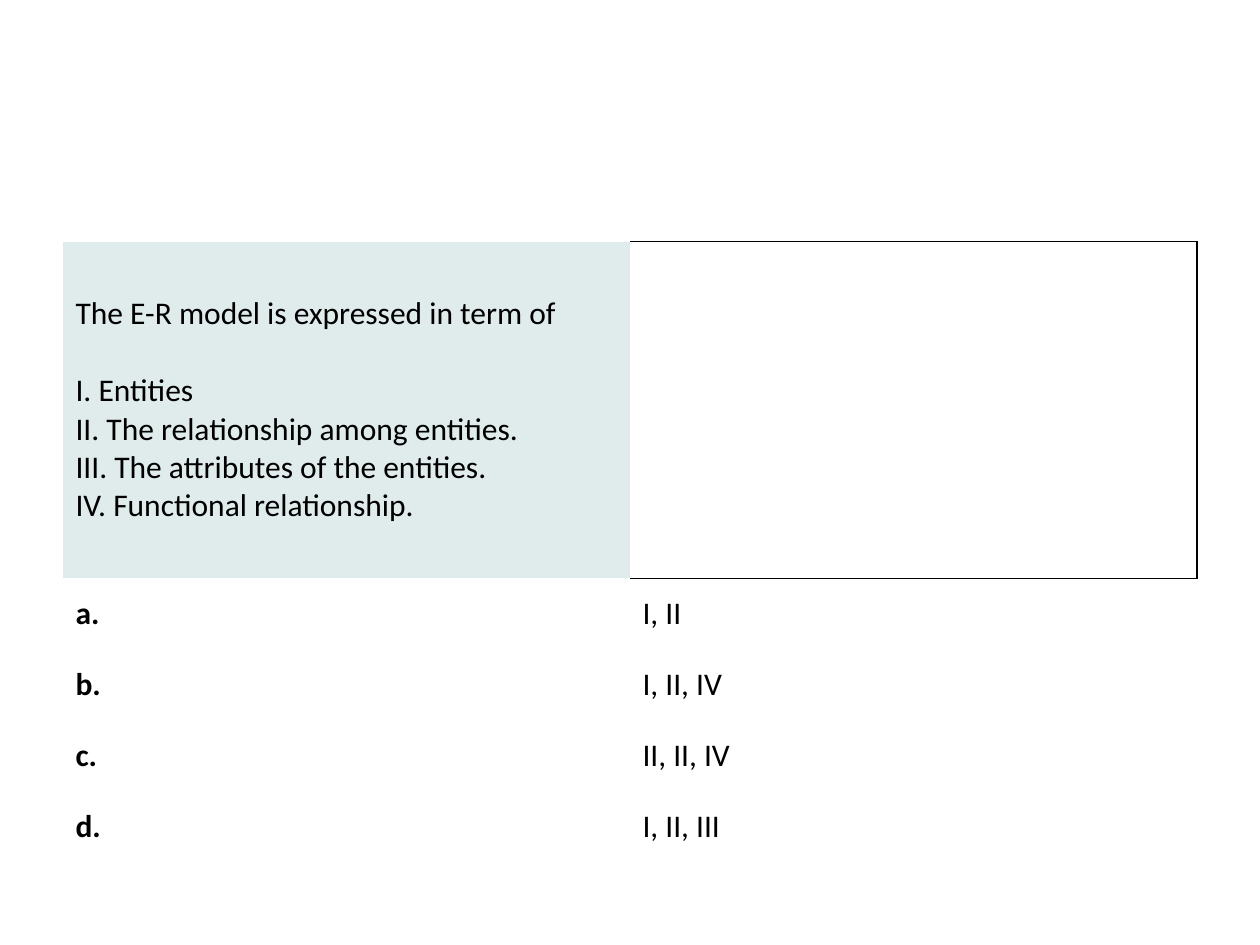
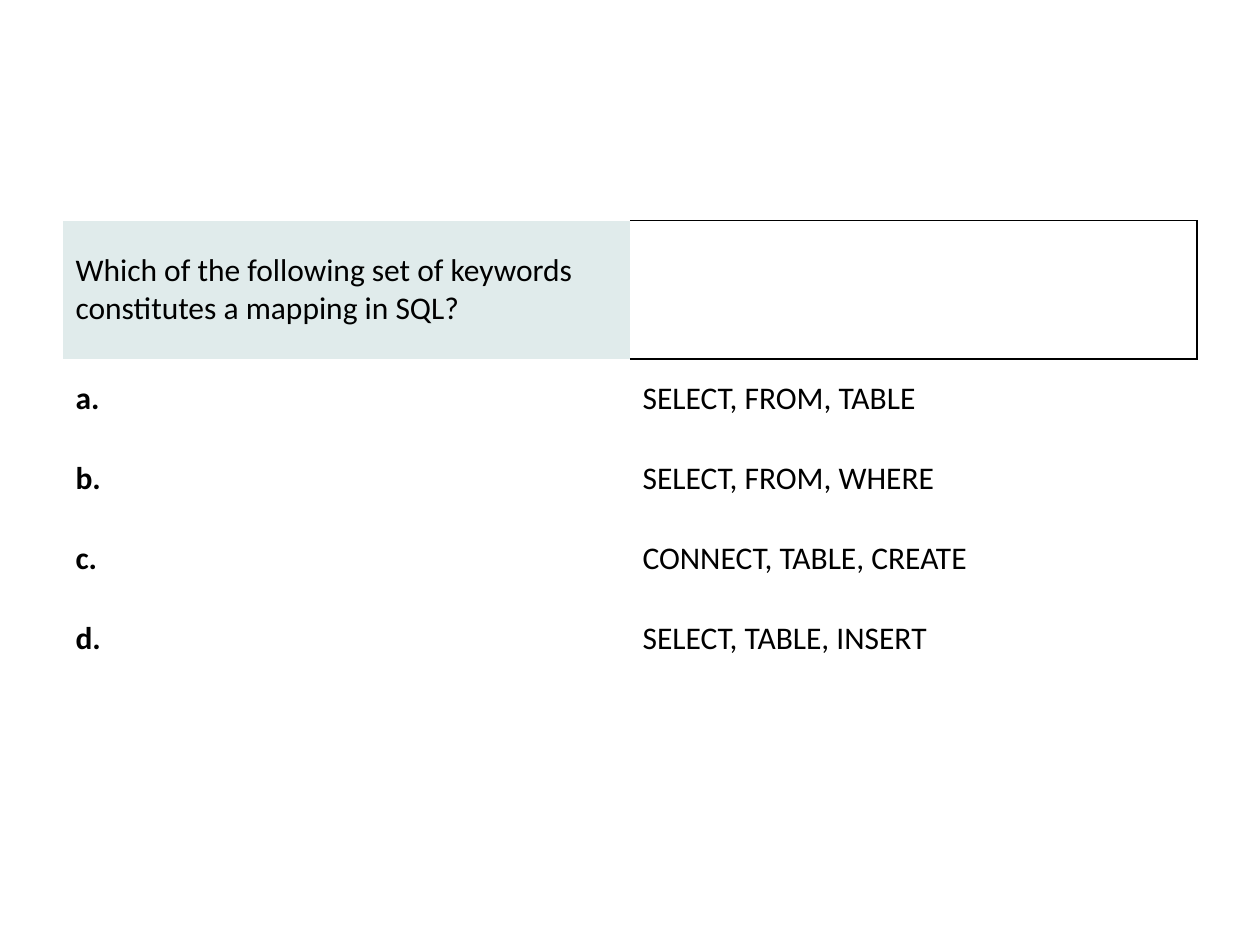
from lxml import etree
from pptx import Presentation
from pptx.dml import color
from pptx.enum import text
from pptx.oxml import ns
from pptx.util import Cm, Pt

INK, TINT = "000000", "E0EBEB"
FONT = {"name": "Calibri", "size": Pt(18)}
LEFT, COL = 1.27, 11.43
EDGES = "LRTB"

QUIZ = [
    {"top": 4.87, "head": 6.79, "row": 1.43,
     "ask": ["The E-R model is expressed in term of"],
     "list": ["I. Entities", "II. The relationship among entities.",
              "III. The attributes of the entities.",
              "IV. Functional relationship."],
     "picks": ["I, II", "I, II, IV", "II, II, IV", "I, II, III"]},
    {"top": 4.45, "head": 2.79, "row": 1.61,
     "ask": ["Which of the following set of keywords constitutes a mapping in SQL?"],
     "list": [],
     "picks": ["SELECT, FROM, TABLE", "SELECT, FROM, WHERE",
               "CONNECT, TABLE, CREATE", "SELECT, TABLE, INSERT"]},
]


def rgb(code):
    return color.RGBColor.from_string(code)


def border(cell, dark):
    """Draw the edges named in dark and clear the others."""
    props = cell._tc.get_or_add_tcPr()
    for spot, edge in enumerate(EDGES):
        line = etree.Element(ns.qn(f"a:ln{edge}"), w=str(Pt(1)))
        if edge in dark:
            fill = etree.SubElement(line, ns.qn("a:solidFill"))
            etree.SubElement(fill, ns.qn("a:srgbClr"), val=INK)
        else:
            etree.SubElement(line, ns.qn("a:noFill"))
        props.insert(spot, line)


def write(cell, lines, bold=False):
    cell.vertical_anchor = text.MSO_ANCHOR.MIDDLE
    frame = cell.text_frame
    frame.text = "\n".join(lines)
    for para in frame.paragraphs:
        for key, value in {**FONT, "bold": bold}.items():
            setattr(para.font, key, value)
        para.font.color.rgb = rgb(INK)


def question(cell, ask, items):
    write(cell, ask + items)
    if items:
        cell.text_frame.paragraphs[len(ask)].space_before = Pt(22)
    cell.fill.solid()
    cell.fill.fore_color.rgb = rgb(TINT)


def quiz(slide, data):
    """Place one question with its lettered answers."""
    picks = data["picks"]
    high = data["head"] + len(picks) * data["row"]
    grid = slide.shapes.add_table(len(picks) + 1, 2, Cm(LEFT), Cm(data["top"]),
                                  Cm(2 * COL), Cm(high)).table
    grid.first_row = grid.horz_banding = False
    for row in grid.rows:
        row.height = Cm(data["row"])
    grid.rows[0].height = Cm(data["head"])
    for cell in grid.iter_cells():
        cell.fill.background()
    question(grid.cell(0, 0), data["ask"], data["list"])
    for row, (mark, pick) in enumerate(zip("abcd", picks), 1):
        write(grid.cell(row, 0), [f"{mark}."], bold=True)
        write(grid.cell(row, 1), [pick])
    dark = {(0, 1): "TRB", (1, 1): "T"}
    for row in range(len(picks) + 1):
        for col in range(2):
            border(grid.cell(row, col), dark.get((row, col), ""))


def main():
    deck = Presentation()
    deck.slide_width, deck.slide_height = Cm(25.4), Cm(19.05)
    for data in QUIZ:
        quiz(deck.slides.add_slide(deck.slide_layouts[6]), data)
    deck.save("out.pptx")


if __name__ == "__main__":
    main()
